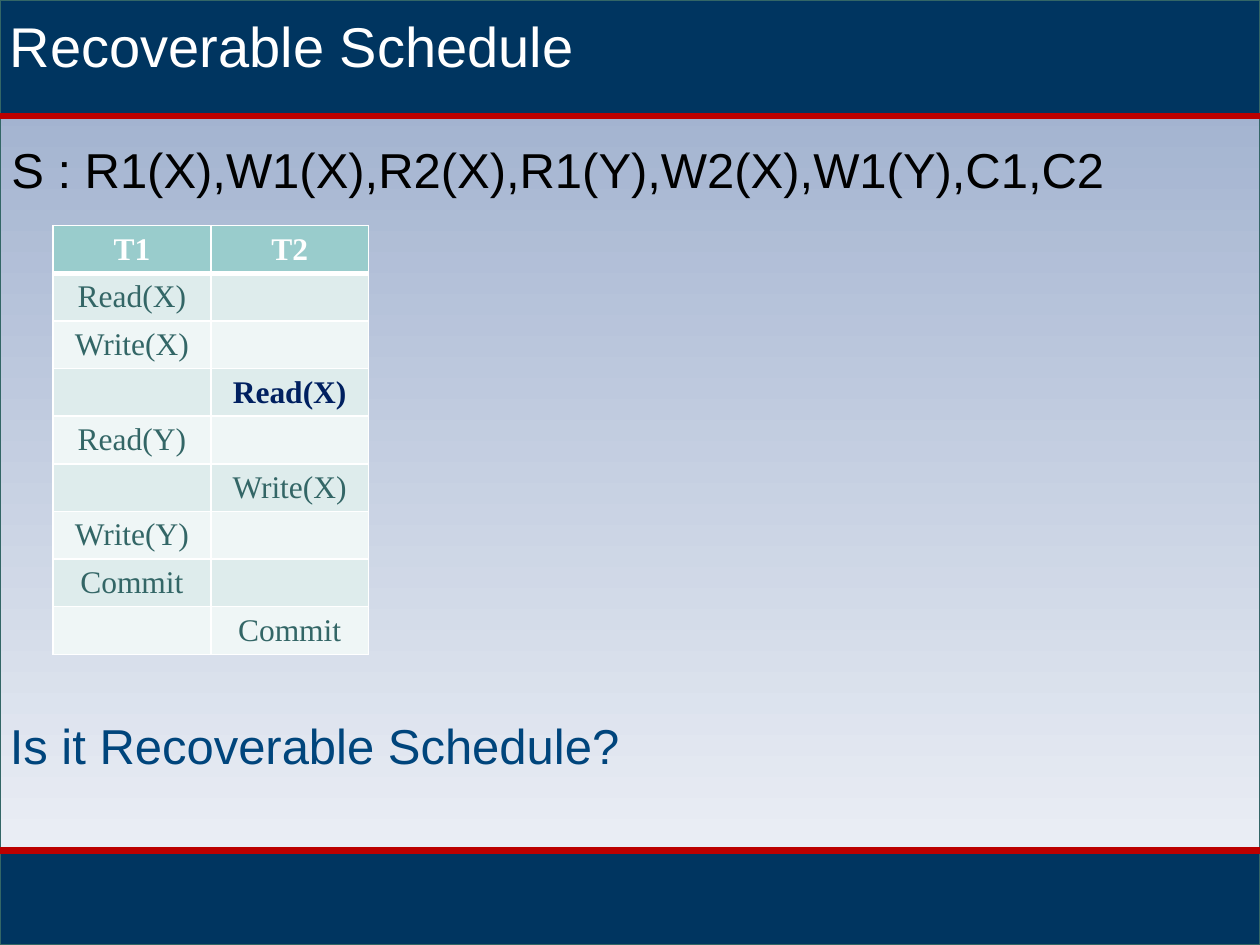
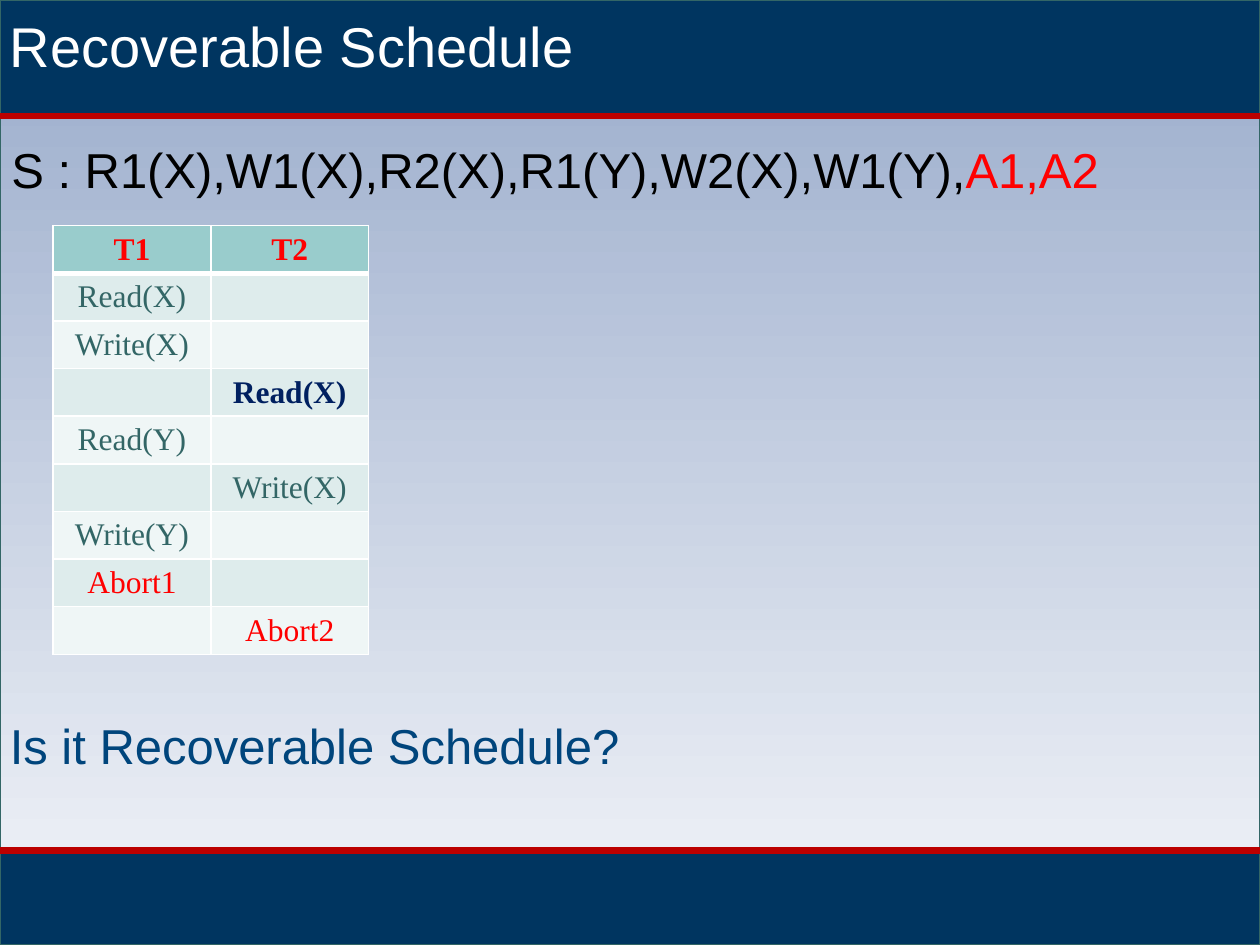
from dataclasses import dataclass

from lxml import etree
from pptx import Presentation
from pptx.dml.color import RGBColor
from pptx.enum.shapes import MSO_CONNECTOR, MSO_SHAPE
from pptx.enum.text import MSO_ANCHOR, PP_ALIGN
from pptx.oxml.ns import qn
from pptx.util import Cm, Pt

RECT = MSO_SHAPE.RECTANGLE
STRAIGHT = MSO_CONNECTOR.STRAIGHT
CENTER = PP_ALIGN.CENTER
TOP = MSO_ANCHOR.TOP

HUES = {
    "navy": "003560", "teal": "336666", "rule": "BC0000",
    "sky": "99ABCB", "mist": "F3F5F9", "white": "FFFFFF",
    "black": "000000", "red": "FF0000", "blue": "00457C", "ink": "002060",
    "head": "99CCCC", "odd": "DEECEC", "even": "EFF6F6",
}
WIDE, HIGH = 25.4, 19.05
HEAD_END, FOOT_TOP = 2.34, 17.15
ROW_HIGH, COL_WIDE = 0.96, 3.18


@dataclass(frozen=True)
class Run:
    text: str
    hue: str


@dataclass(frozen=True)
class Label:
    left: float
    top: float
    high: float
    size: int
    runs: tuple[Run, ...]


@dataclass(frozen=True)
class Step:
    col: int
    text: str
    hue: str = "teal"
    bold: bool = False


@dataclass(frozen=True)
class Page:
    plan: tuple[Run, ...]
    head: str
    ends: tuple[Step, ...]


TITLE = Label(0, 0, 1.9, 32, (Run("Recoverable Schedule", "white"),))
QUERY = Label(0, 14.2, 1.45, 28, (Run("Is it Recoverable Schedule?", "blue"),))
STEPS = (
    Step(0, "Read(X)"), Step(0, "Write(X)"),
    Step(1, "Read(X)", "ink", True),
    Step(0, "Read(Y)"), Step(1, "Write(X)"), Step(0, "Write(Y)"),
)
OPS = "S : R1(X),W1(X),R2(X),R1(Y),W2(X),W1(Y),"
PAGES = (
    Page((Run(OPS + "C1,C2", "black"),), "white",
         (Step(0, "Commit"), Step(1, "Commit"))),
    Page((Run(OPS, "black"), Run("A1,A2", "red")), "red",
         (Step(0, "Abort1", "red"), Step(1, "Abort2", "red"))),
)


def tint(hue: str) -> RGBColor:
    return RGBColor.from_string(HUES[hue])


def style(run, font: str, size: int, hue: str, bold: bool = False) -> None:
    run.font.name = font
    run.font.size = Pt(size)
    run.font.bold = bold
    run.font.color.rgb = tint(hue)


def add_band(slide, top: float, high: float):
    band = slide.shapes.add_shape(RECT, 0, Cm(top), Cm(WIDE), Cm(high))
    band.shadow.inherit = False
    band.fill.solid()
    band.fill.fore_color.rgb = tint("navy")
    band.line.color.rgb = tint("teal")
    band.line.width = Pt(0.75)
    return band


def add_rule(slide, top: float) -> None:
    rule = slide.shapes.add_connector(STRAIGHT, 0, Cm(top), Cm(WIDE), Cm(top))
    rule.line.color.rgb = tint("rule")
    rule.line.width = Pt(3.75)
    etree.SubElement(rule._element.spPr, qn("a:effectLst"))


def add_frame(slide) -> None:
    """Draw the backdrop, bands and rules that every slide has."""
    back = add_band(slide, 0, HIGH)
    back.fill.gradient()
    back.fill.gradient_angle = 270
    for stop, hue, place in zip(back.fill.gradient_stops, ("sky", "mist"), (0, 1)):
        stop.color.rgb = tint(hue)
        stop.position = place
    add_band(slide, FOOT_TOP, HIGH - FOOT_TOP)
    add_band(slide, 0, HEAD_END)
    for top in (HEAD_END, FOOT_TOP):
        add_rule(slide, top)


def add_label(slide, label: Label) -> None:
    box = slide.shapes.add_textbox(
        Cm(label.left), Cm(label.top), Cm(WIDE), Cm(label.high))
    frame = box.text_frame
    frame.word_wrap = True
    frame.vertical_anchor = TOP
    frame.margin_left, frame.margin_top = Cm(0.2), Cm(0.23)
    for part in label.runs:
        run = frame.paragraphs[0].add_run()
        run.text = part.text
        style(run, "Arial", label.size, part.hue)


def add_edges(cell, base: float) -> None:
    """Give a cell white borders, with its own width at the bottom."""
    props = cell._tc.get_or_add_tcPr()
    for spot, (side, width) in enumerate(
            {"L": 1, "R": 1, "T": 1, "B": base}.items()):
        edge = etree.Element(qn(f"a:ln{side}"), w=str(Pt(width)))
        fill = etree.SubElement(edge, qn("a:solidFill"))
        etree.SubElement(fill, qn("a:srgbClr"), val=HUES["white"])
        props.insert(spot, edge)


def fill_cell(cell, step: Step | None, back: str, base: float = 1) -> None:
    cell.fill.solid()
    cell.fill.fore_color.rgb = tint(back)
    add_edges(cell, base)
    para = cell.text_frame.paragraphs[0]
    if step is None:
        etree.SubElement(para._p, qn("a:endParaRPr"), sz="1200")
        return
    para.text = step.text
    para.alignment = CENTER
    style(para.runs[0], "Times New Roman", 18, step.hue, step.bold)


def add_grid(slide, page: Page) -> None:
    steps = STEPS + page.ends
    count = len(steps) + 1
    grid = slide.shapes.add_table(
        count, 2, Cm(1.07), Cm(4.55), Cm(2 * COL_WIDE), Cm(count * ROW_HIGH)).table
    for row in grid.rows:
        row.height = Cm(ROW_HIGH)
    for col in range(2):
        grid.columns[col].width = Cm(COL_WIDE)
        head = Step(col, f"T{col + 1}", page.head, True)
        fill_cell(grid.cell(0, col), head, "head", 3)
        for row, step in enumerate(steps, 1):
            fill_cell(grid.cell(row, col), step if step.col == col else None,
                      "odd" if row % 2 else "even")


def main() -> None:
    deck = Presentation()
    deck.slide_width, deck.slide_height = Cm(WIDE), Cm(HIGH)
    for page in PAGES:
        slide = deck.slides.add_slide(deck.slide_layouts[6])
        add_frame(slide)
        add_grid(slide, page)
        for label in (QUERY, TITLE, Label(0.03, 2.59, 1.45, 28, page.plan)):
            add_label(slide, label)
    deck.save("out.pptx")


if __name__ == "__main__":
    main()
